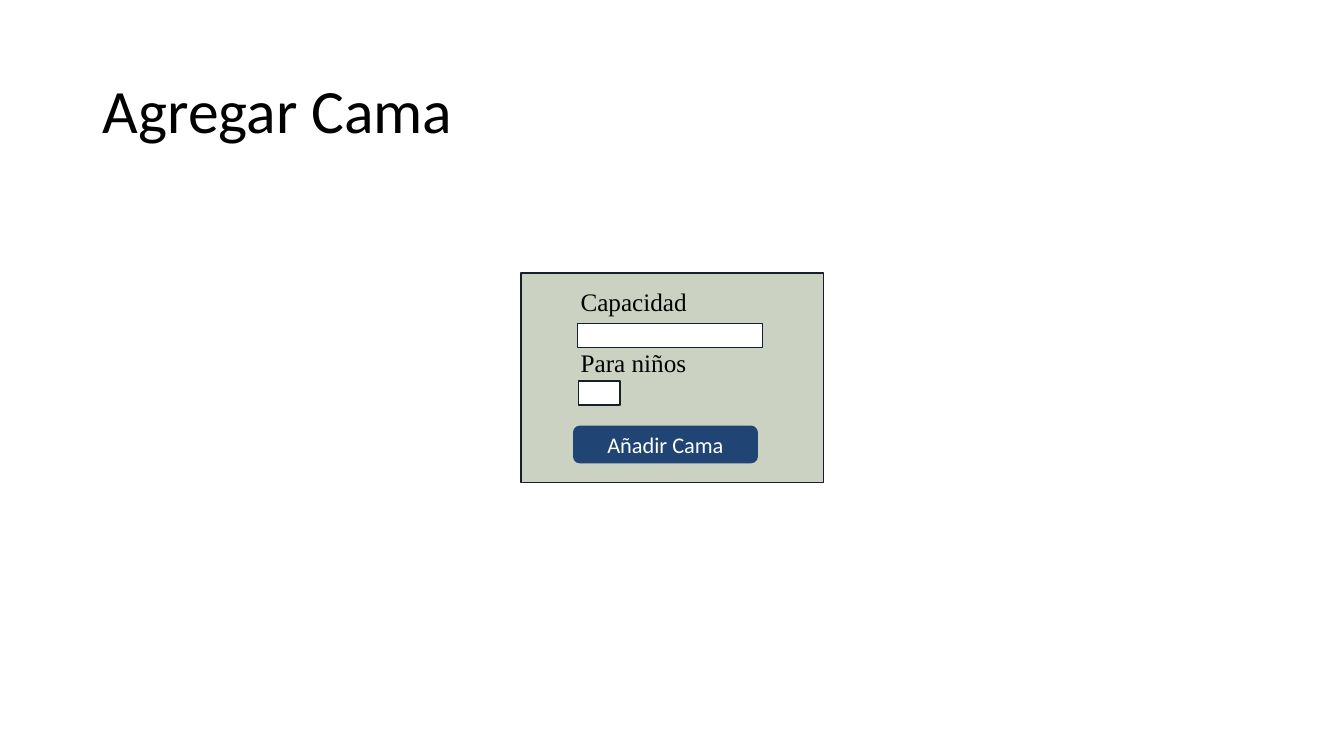
import pptx
import pptx.util
import pptx.dml.color
import pptx.enum.shapes
import pptx.enum.text

SHAPES = pptx.enum.shapes.MSO_SHAPE
ALIGN = pptx.enum.text.PP_ALIGN
ANCHOR = pptx.enum.text.MSO_ANCHOR
FIT = pptx.enum.text.MSO_AUTO_SIZE


def color(value):
    return pptx.dml.color.RGBColor.from_string(value)


def write(frame, text, *, size, font, ink="000000", align=ALIGN.LEFT,
          anchor=ANCHOR.TOP, fit=FIT.NONE, after=0, spacing=1.0):
    frame.word_wrap = True
    frame.auto_size = fit
    frame.vertical_anchor = anchor
    para = frame.paragraphs[0]
    para.alignment = align
    para.space_after = pptx.util.Pt(after)
    para.line_spacing = spacing
    span = para.add_run()
    span.text = text
    span.font.size = pptx.util.Pt(size)
    span.font.name = font
    span.font.color.rgb = color(ink)


class FormPage:
    sans = "Calibri"
    serif = "Times New Roman"
    outline = "172026"
    panel_fill = "CCD2C2"
    field_fill = "FFFFFF"
    button_fill = "204473"

    def __init__(self, deck):
        self.width = deck.slide_width
        self.height = deck.slide_height
        self.page = deck.slides.add_slide(deck.slide_layouts[5])

    def area(self, left, top, width, height):
        return (round(self.width * left / 100), round(self.height * top / 100),
                round(self.width * width / 100), round(self.height * height / 100))

    def title(self, text, *place):
        box = self.page.shapes.title
        box.left, box.top, box.width, box.height = self.area(*place)
        write(box.text_frame, text, size=44, font=self.sans,
              anchor=ANCHOR.MIDDLE, spacing=0.9)

    def block(self, kind, fill, line, *place):
        box = self.page.shapes.add_shape(kind, *self.area(*place))
        box.shadow.inherit = False
        box.fill.solid()
        box.fill.fore_color.rgb = color(fill)
        box.line.color.rgb = color(line)
        box.line.width = pptx.util.Pt(1)
        return box

    def panel(self, *place):
        self.block(SHAPES.RECTANGLE, self.panel_fill, self.outline, *place)

    def field(self, *place):
        self.block(SHAPES.RECTANGLE, self.field_fill, self.outline, *place)

    def button(self, text, *place):
        box = self.block(SHAPES.ROUNDED_RECTANGLE, self.button_fill,
                         self.button_fill, *place)
        write(box.text_frame, text, size=16, font=self.sans, ink="FFFFFF",
              align=ALIGN.CENTER, anchor=ANCHOR.MIDDLE)

    def label(self, text, *place):
        box = self.page.shapes.add_textbox(*self.area(*place))
        write(box.text_frame, text, size=18, font=self.serif,
              fit=FIT.SHAPE_TO_FIT_TEXT, after=6)


def main():
    deck = pptx.Presentation()
    deck.slide_width = pptx.util.Inches(13.33)
    deck.slide_height = pptx.util.Inches(7.5)
    form = FormPage(deck)
    form.title("Agregar Cama", 6.9, 5.33, 86.27, 19.33)
    form.panel(38.78, 36.13, 22.5, 27.73)
    form.button("Añadir Cama", 42.69, 56.4, 13.65, 4.8)
    form.label("Capacidad", 42.46, 37.2, 10.88, 5.33)
    form.label("Para niños", 42.46, 45.33, 12.23, 5.33)
    form.field(43.06, 50.4, 3.08, 3.2)
    form.field(42.99, 42.8, 13.73, 3.2)
    deck.save("out.pptx")


if __name__ == "__main__":
    main()
